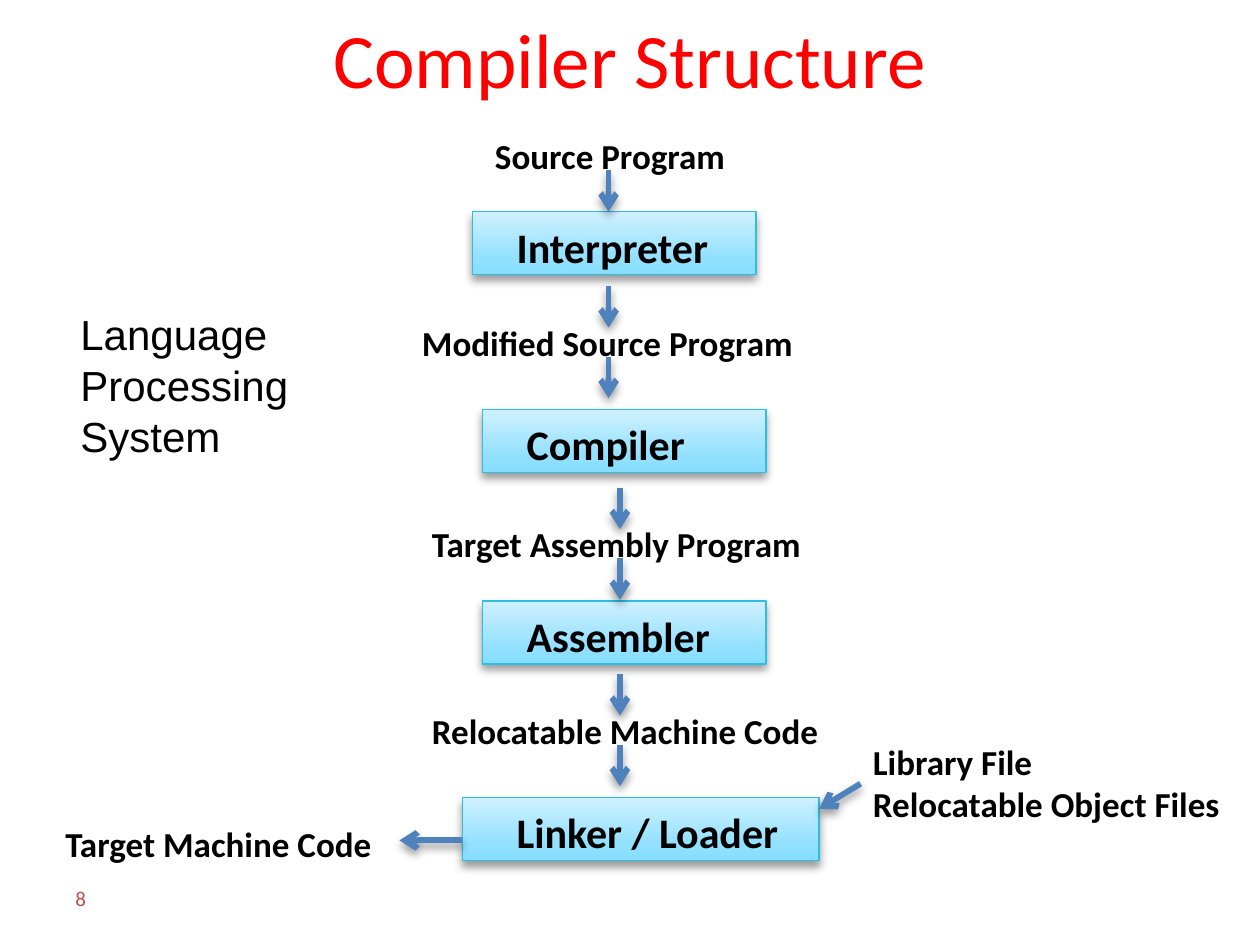
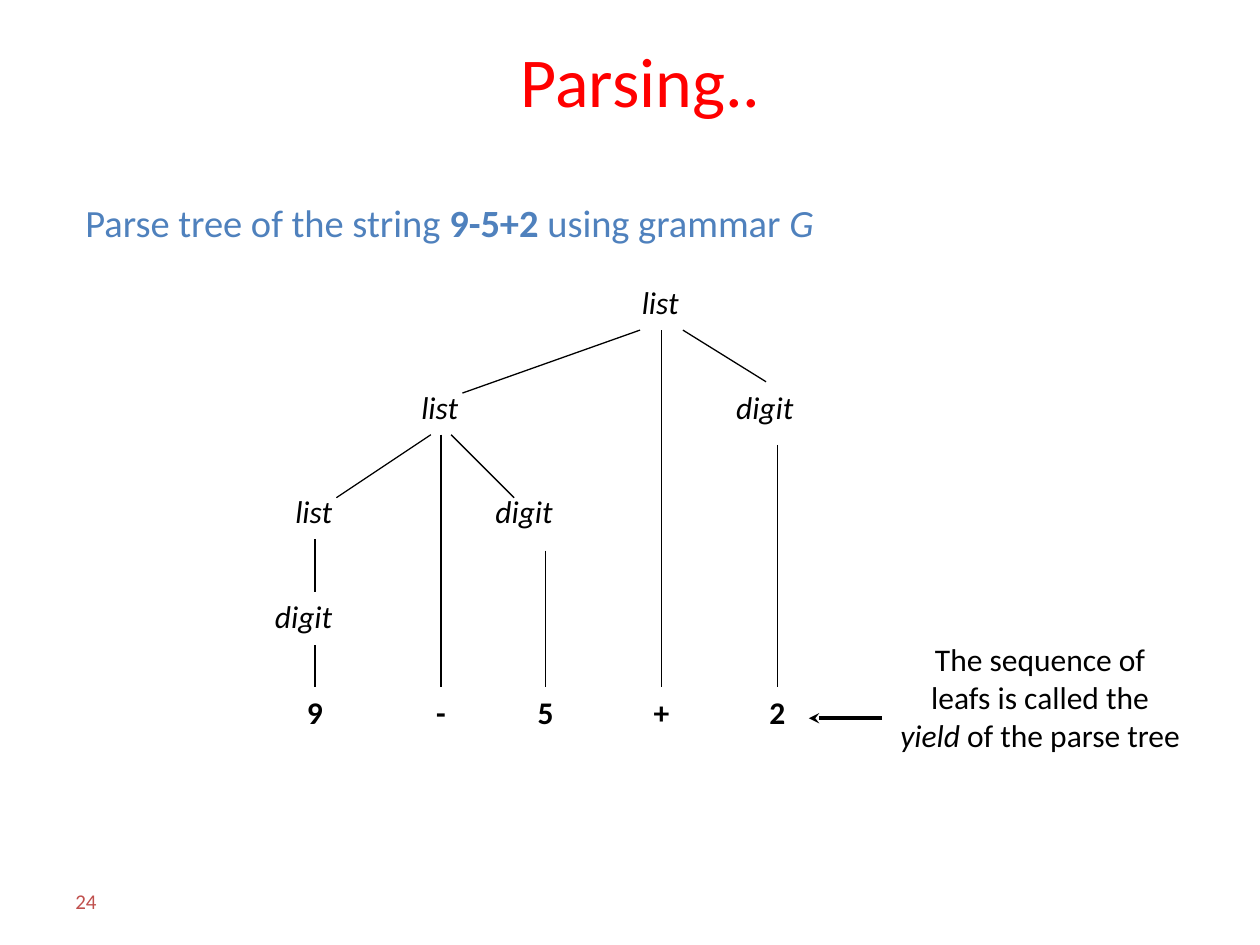
from copy import deepcopy
from dataclasses import dataclass

from pptx import Presentation
from pptx import util as u
from pptx.dml.color import RGBColor
from pptx.enum import shapes, text
from pptx.oxml import ns
from pptx.oxml.xmlchemy import OxmlElement


@dataclass(frozen=True)
class Theme:
    title: str = "FF0000"
    ink: str = "000000"
    accent: str = "4F81BD"
    page_number: str = "C0504D"
    stage_line: str = "2CBEE5"
    stage_stops: tuple = ((0, "86DEFF"), (0.25, "92E0FF"), (1, "CFF1FF"))
    font: str = "Calibri"
    side_font: str = "Arial"
    heading_size: int = 22
    stage_size: int = 24
    label_size: int = 20
    tree_size: int = 18
    number_size: int = 12
    arrow_width: float = 3.35
    thin_width: float = 0.75


THEME = Theme()
ARROW_LENGTH = 0.33


# Shared helpers
def colour(code):
    return RGBColor.from_string(code)


def write(frame, words, size, ink=THEME.ink, font=THEME.font, bold=False,
          italic=False, align=text.PP_ALIGN.LEFT, anchor=text.MSO_ANCHOR.TOP,
          spacing=None):
    """Fill a frame with a string, or with (string, format changes) pairs."""
    frame.word_wrap = True
    frame.vertical_anchor = anchor
    para = frame.paragraphs[0]
    para.alignment = align
    if spacing:
        para.line_spacing = u.Pt(spacing)
    for part, changes in ([(words, {})] if isinstance(words, str) else words):
        for index, line in enumerate(part.split("\n")):
            if index:
                para.add_line_break()
            if not line:
                continue
            span = para.add_run()
            span.text = line
            span.font.name = font
            span.font.size = u.Pt(size)
            span.font.color.rgb = colour(ink)
            span.font.bold = changes.get("bold", bold)
            span.font.italic = changes.get("italic", italic)


def add_text(page, box, words, size, **style):
    label = page.shapes.add_textbox(*map(u.Inches, box))
    write(label.text_frame, words, size, **style)


def add_effects(properties, shadow):
    """Replace the theme effect by a soft drop shadow, or by none."""
    effects = properties.find(ns.qn("a:effectLst"))
    if effects is None:
        effects = OxmlElement("a:effectLst")
        properties.append(effects)
    if not shadow:
        return
    drop = OxmlElement("a:outerShdw")
    drop.set("blurRad", str(u.Pt(5.2)))
    drop.set("dist", str(u.Pt(3)))
    drop.set("dir", "5400000")
    drop.set("rotWithShape", "0")
    tint = OxmlElement("a:srgbClr")
    tint.set("val", THEME.ink)
    alpha = OxmlElement("a:alpha")
    alpha.set("val", "40000")
    tint.append(alpha)
    drop.append(tint)
    effects.append(drop)


def add_line(page, start, end, ink=THEME.ink, width=THEME.thin_width,
             head=None, shadow=False):
    line = page.shapes.add_connector(
        shapes.MSO_CONNECTOR.STRAIGHT, *map(u.Inches, (*start, *end)))
    line.line.color.rgb = colour(ink)
    line.line.width = u.Pt(width)
    if head:
        tip = OxmlElement("a:tailEnd")
        tip.set("type", head)
        line.line._get_or_add_ln().append(tip)
    add_effects(line._element.spPr, shadow)


def add_frame(page, box, title, size, number, number_top):
    """Title and page number."""
    add_text(page, box, title, size, ink=THEME.title,
             align=text.PP_ALIGN.CENTER, anchor=text.MSO_ANCHOR.MIDDLE)
    add_text(page, (0.5, number_top, 2.33, 0.4), number, THEME.number_size,
             ink=THEME.page_number, anchor=text.MSO_ANCHOR.MIDDLE)


# Compiler structure
def add_flow_arrow(page, start, end):
    add_line(page, start, end, ink=THEME.accent, width=THEME.arrow_width,
             head="arrow", shadow=True)


def add_label(page, box, words):
    add_text(page, box, words, THEME.label_size, bold=True)


def add_stage(page, box, name, indent):
    stage = page.shapes.add_shape(shapes.MSO_SHAPE.RECTANGLE,
                                  *map(u.Inches, box))
    stage.shadow.inherit = False
    stage.fill.gradient()
    stage.fill.gradient_angle = 90
    stops = stage._element.spPr.find(".//" + ns.qn("a:gsLst"))
    stops.insert(1, deepcopy(stops[0]))
    for stop, (position, code) in zip(stage.fill.gradient_stops,
                                      THEME.stage_stops):
        stop.position = position
        stop.color.rgb = colour(code)
    stage.line.color.rgb = colour(THEME.stage_line)
    stage.line.width = u.Pt(THEME.thin_width)
    add_effects(stage._element.spPr, shadow=True)
    frame = stage.text_frame
    frame.margin_left = u.Inches(indent)
    frame.margin_right = frame.margin_bottom = 0
    write(frame, name, THEME.stage_size, bold=True,
          anchor=text.MSO_ANCHOR.MIDDLE)


def add_pipeline(page, left, top):
    # Input label and its place, then the stage that reads it: box and indent
    steps = [
        ("Source Program", 0.16, 0, "Interpreter", 0.08, 0.66, 2.25, 0.35),
        ("Modified Source Program", -0.42, 1.48,
         "Compiler", 0.16, 2.23, 2.25, 0.35),
        ("Target Assembly Program", -0.34, 3.08,
         "Assembler", 0.16, 3.75, 2.25, 0.35),
        ("Relocatable Machine Code", -0.34, 4.56,
         "Linker / Loader", 0, 5.31, 2.83, 0.43),
    ]
    arrow_columns = [1.16, 1.16, 1.25, 1.25]
    for step, column in zip(steps, arrow_columns):
        label, label_x, label_y, name, stage_x, stage_y, width, indent = step
        x, y = left + column, top + label_y
        add_stage(page, (left + stage_x, top + stage_y, width, 0.5),
                  name, indent)
        add_label(page, (left + label_x, y, 3.42, 0.44), label)
        if label_y:
            add_flow_arrow(page, (x, y + 0.1 - ARROW_LENGTH), (x, y + 0.1))
        add_flow_arrow(page, (x, y + 0.33), (x, y + 0.33 + ARROW_LENGTH))


def add_linker_links(page, left, top, width):
    """Output to the left of the linker, library input to its right."""
    add_flow_arrow(page, (left, top + 0.34), (left - 0.5, top + 0.34))
    add_label(page, (left - 3.25, top + 0.15, 2.67, 0.44),
              "Target Machine Code")
    right = left + width
    add_label(page, (right + 0.33, top - 0.5, 3.17, 0.77),
              "Library File\nRelocatable Object Files")
    add_flow_arrow(page, (right + 0.33, top - 0.11), (right, top + 0.09))


def build_compiler_page(page):
    add_frame(page, (0.5, 0, 9, 0.92), "Compiler Structure", 44, "8", 6.93)
    add_text(page, (0.54, 2.4, 2.5, 1.3), "Language\nProcessing\nSystem",
             THEME.stage_size, font=THEME.side_font, spacing=29)
    add_pipeline(page, 3.67, 1.02)
    add_linker_links(page, 3.67, 6.33, 2.83)


# Parse tree
def add_parse_tree(page, left, top):
    row_gap = 0.83
    leaf_top = 3.25
    # Name, centre and row of each inner node
    nodes = [("list", 3.16, 0), ("list", 1.41, 1), ("digit", 3.99, 1),
             ("list", 0.41, 2), ("digit", 2.08, 2), ("digit", 0.33, 3)]
    # Leaf, its column and the top of the stem above it
    leaves = [("9", 0.42, 2.92), ("-", 1.42, 1.25), ("5", 2.25, 2.17),
              ("+", 3.17, 0.42), ("2", 4.09, 1.33)]
    # Start and end of the other branches
    branches = [(3, 0.42, 1.59, 0.92), (3.34, 0.42, 4, 0.83),
                (1.34, 1.25, 0.59, 1.75), (1.5, 1.25, 2, 1.75),
                (0.42, 2.08, 0.42, 2.5)]
    centred = text.PP_ALIGN.CENTER
    for name, centre, row in nodes:
        add_text(page, (left + centre - 0.4, top + row * row_gap, 0.8, 0.5),
                 name, THEME.tree_size, italic=True, align=centred)
    for leaf, column, stem_top in leaves:
        x = left + column
        add_text(page, (x - 0.2, top + leaf_top, 0.4, 0.5), leaf,
                 THEME.tree_size, bold=True, align=centred)
        add_line(page, (x, top + stem_top), (x, top + leaf_top))
    for x1, y1, x2, y2 in branches:
        add_line(page, (left + x1, top + y1), (left + x2, top + y2))


def add_yield_note(page, left, top):
    add_text(page, (left, top, 3.15, 1.3),
             [("The sequence of\nleafs is called the\n", {}),
              ("yield", {"italic": True}), (" of the parse tree", {})],
             THEME.tree_size, align=text.PP_ALIGN.CENTER)
    add_line(page, (left + 0.32, top + 0.67), (left - 0.26, top + 0.67),
             width=2, head="stealth")


def build_parsing_page(page):
    add_frame(page, (0.5, 0.17, 9.17, 0.92), "Parsing..", 40, "24", 6.95)
    add_text(page, (0.58, 1.53, 6.5, 0.47),
             [("Parse tree of the string ", {}), ("9-5+2", {"bold": True}),
              (" using grammar ", {}), ("G", {"italic": True})],
             THEME.heading_size, ink=THEME.accent)
    add_parse_tree(page, 2.08, 2.2)
    add_yield_note(page, 6.68, 5.03)


def main():
    deck = Presentation()
    deck.slide_width, deck.slide_height = u.Inches(10), u.Inches(7.5)
    for build in (build_compiler_page, build_parsing_page):
        build(deck.slides.add_slide(deck.slide_layouts[6]))
    deck.save("out.pptx")


if __name__ == "__main__":
    main()
